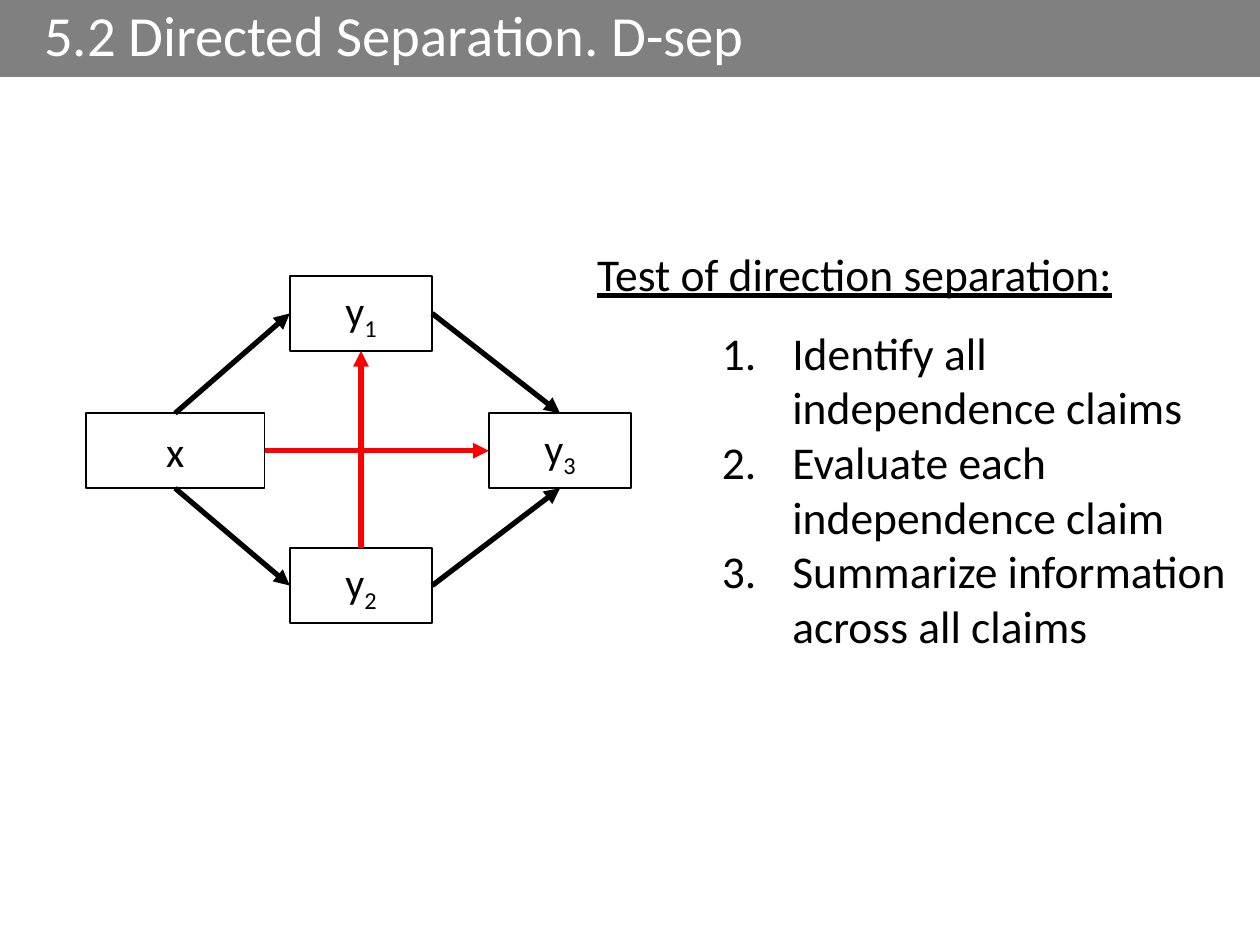
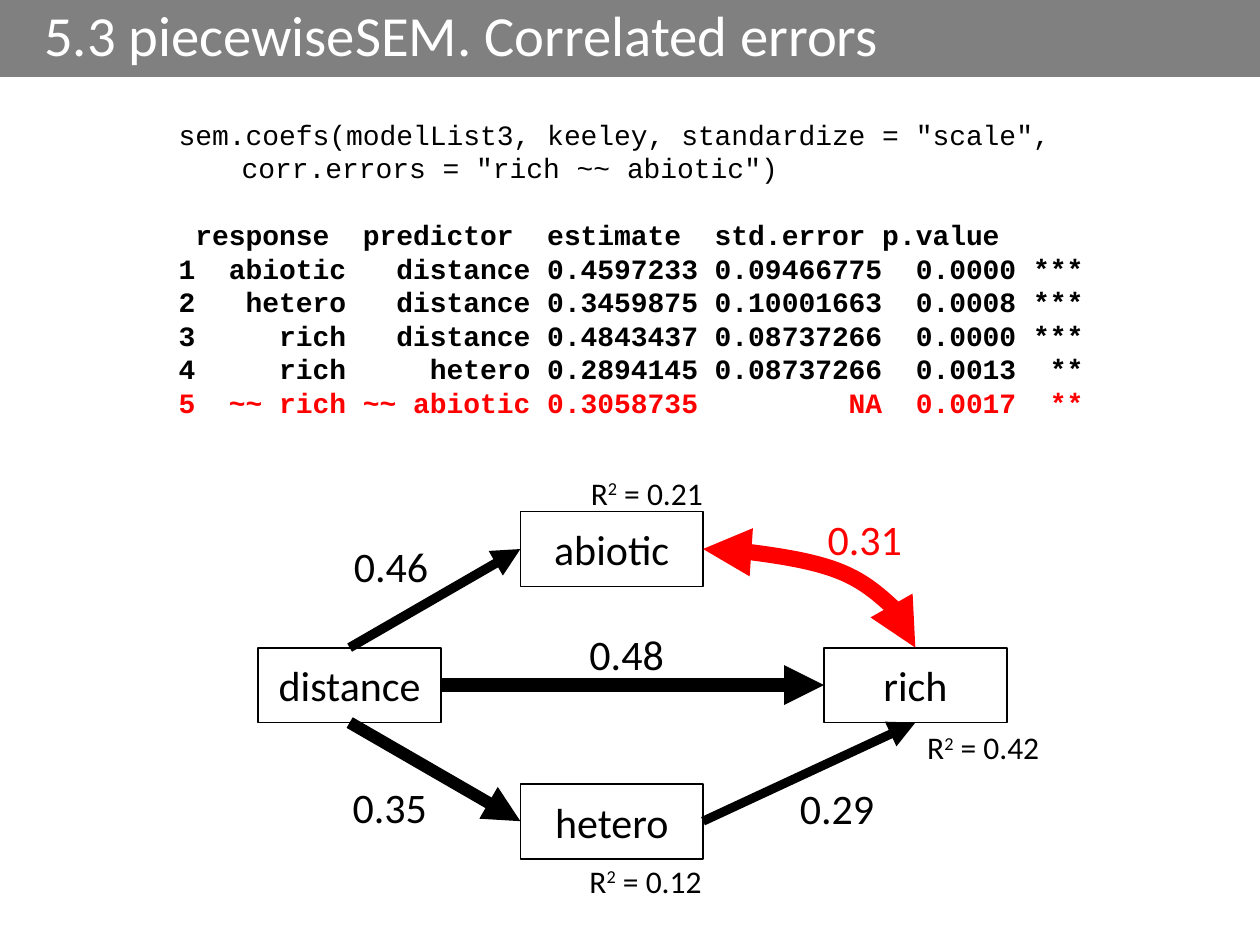
from lxml import etree
from pptx import Presentation
from pptx.dml.color import RGBColor
from pptx.enum.shapes import MSO_CONNECTOR, MSO_SHAPE
from pptx.enum.text import MSO_ANCHOR, MSO_AUTO_SIZE, PP_ALIGN
from pptx.oxml.ns import qn
from pptx.util import Inches, Pt

RECTANGLE = MSO_SHAPE.RECTANGLE
STRAIGHT, CURVE = MSO_CONNECTOR.STRAIGHT, MSO_CONNECTOR.CURVE
MIDDLE = MSO_ANCHOR.MIDDLE
FIT_TEXT = MSO_AUTO_SIZE.SHAPE_TO_FIT_TEXT
LEFT, CENTER = PP_ALIGN.LEFT, PP_ALIGN.CENTER
BLANK_LAYOUT = 6

# Shared style
BLACK, WHITE, GREY, RED = "000000", "FFFFFF", "808080", "FF0000"
BODY_FONT, CODE_FONT = "Calibri", "Courier New"
SUBSCRIPT, SUPERSCRIPT = -25000, 30000
NODE_HEIGHT = 0.595
TOP_SIDE, LEFT_SIDE, BOTTOM_SIDE, RIGHT_SIDE = range(4)

# Directed separation: nodes are (text, subscript, left, top, width)
SEPARATION_TITLE = "5.2 Directed Separation. D-sep"
SEPARATION_NODES = {
    "x": ("x", "", 0.68, 3.28, 1.42),
    "y1": ("y", "1", 2.3, 2.19, 1.13),
    "y2": ("y", "2", 2.3, 4.35, 1.13),
    "y3": ("y", "3", 3.88, 3.28, 1.13),
}
# Paths are (from, side, to, side, colour, width)
SEPARATION_PATHS = [
    ("x", TOP_SIDE, "y1", LEFT_SIDE, BLACK, 3),
    ("x", BOTTOM_SIDE, "y2", LEFT_SIDE, BLACK, 3),
    ("y1", RIGHT_SIDE, "y3", TOP_SIDE, BLACK, 3),
    ("y2", RIGHT_SIDE, "y3", BOTTOM_SIDE, BLACK, 3),
    ("y2", TOP_SIDE, "y1", BOTTOM_SIDE, RED, 3),
    ("x", RIGHT_SIDE, "y3", LEFT_SIDE, RED, 3),
]
TEST_HEADING = "Test of direction separation:"
TEST_STEPS = [
    "Identify all independence claims",
    "Evaluate each independence claim",
    "Summarize information across all claims",
]

# Correlated errors
ERRORS_TITLE = "5.3 piecewiseSEM. Correlated errors"
CALL_LINES = [
    'sem.coefs(modelList3, keeley, standardize = "scale",',
    '\tcorr.errors = "rich ~~ abiotic")',
]
OUTPUT_LINES = [
    " response  predictor  estimate  std.error p.value",
    "1  abiotic   distance 0.4597233 0.09466775  0.0000 ***",
    "2   hetero   distance 0.3459875 0.10001663  0.0008 ***",
    "3     rich   distance 0.4843437 0.08737266  0.0000 ***",
    "4     rich     hetero 0.2894145 0.08737266  0.0013  **",
    "5  ~~ rich ~~ abiotic 0.3058735         NA  0.0017  **",
]
ERRORS_NODES = {
    "distance": ("distance", "", 2.05, 5.14, 1.45),
    "abiotic": ("abiotic", "", 4.13, 4.06, 1.45),
    "hetero": ("hetero", "", 4.13, 6.22, 1.45),
    "rich": ("rich", "", 6.54, 5.14, 1.45),
}
ERRORS_PATHS = [
    ("distance", BOTTOM_SIDE, "hetero", LEFT_SIDE, BLACK, 7),
    ("hetero", RIGHT_SIDE, "rich", BOTTOM_SIDE, BLACK, 5.2),
    ("distance", RIGHT_SIDE, "rich", LEFT_SIDE, BLACK, 7.6),
    ("distance", TOP_SIDE, "abiotic", LEFT_SIDE, BLACK, 5.4),
]
CORRELATION = ("abiotic", RIGHT_SIDE, "rich", TOP_SIDE, RED, 9.2)
COEFFICIENTS = [
    ("0.46", 2.71, 4.24, BLACK),
    ("0.35", 2.7, 6.15, BLACK),
    ("0.29", 6.25, 6.16, BLACK),
    ("0.31", 6.47, 4.03, RED),
    ("0.48", 4.58, 4.94, BLACK),
]
R_SQUARED = [("0.21", 4.59, 3.71), ("0.12", 4.58, 6.79), ("0.42", 7.26, 5.73)]


def rgb(color):
    return RGBColor.from_string(color)


def style(paragraph, size, color=BLACK, font=BODY_FONT, align=LEFT):
    paragraph.alignment = align
    paragraph.font.size = Pt(size)
    paragraph.font.name = font
    paragraph.font.color.rgb = rgb(color)


def add_shifted_run(paragraph, text, baseline):
    run = paragraph.add_run()
    run.text = text
    run.font._element.set("baseline", str(baseline))


def add_box(slide, left, top, width, height, fill, outline=None):
    box = slide.shapes.add_shape(
        RECTANGLE, Inches(left), Inches(top), Inches(width), Inches(height))
    box.shadow.inherit = False
    box.fill.solid()
    box.fill.fore_color.rgb = rgb(fill)
    if outline:
        box.line.color.rgb = rgb(outline)
        box.line.width = Pt(1)
    else:
        box.line.fill.background()
    box.text_frame.vertical_anchor = MIDDLE
    return box


def add_text(slide, left, top, width, height, wrap=False):
    frame = slide.shapes.add_textbox(
        Inches(left), Inches(top), Inches(width), Inches(height)).text_frame
    frame.word_wrap = wrap
    frame.auto_size = FIT_TEXT
    return frame


def add_lines(frame, lines):
    """Write one paragraph per line and return the paragraphs."""
    frame.text = lines[0]
    for line in lines[1:]:
        frame.add_paragraph().text = line
    return frame.paragraphs


def add_titled_slide(prs, title):
    slide = prs.slides.add_slide(prs.slide_layouts[BLANK_LAYOUT])
    frame = add_box(slide, 0, 0, 10, 0.61, GREY).text_frame
    frame.margin_left = Inches(0.35)
    frame.text = title
    frame.paragraphs[0].line_spacing = 0.9
    style(frame.paragraphs[0], 32.4, WHITE)
    return slide


def add_nodes(slide, nodes):
    boxes = {}
    for key, (text, subscript, left, top, width) in nodes.items():
        box = add_box(slide, left, top, width, NODE_HEIGHT, WHITE, BLACK)
        label = box.text_frame.paragraphs[0]
        label.add_run().text = text
        if subscript:
            add_shifted_run(label, subscript, SUBSCRIPT)
        style(label, 24, align=CENTER)
        boxes[key] = box
    return boxes


def add_path(slide, boxes, path, kind=STRAIGHT, ends=("tailEnd",)):
    start, start_side, end, end_side, color, width = path
    arrow = slide.shapes.add_connector(kind, 0, 0, 0, 0)
    arrow.begin_connect(boxes[start], start_side)
    arrow.end_connect(boxes[end], end_side)
    arrow.line.color.rgb = rgb(color)
    arrow.line.width = Pt(width)
    properties = arrow._element.spPr
    for end_tag in ends:
        etree.SubElement(properties.find(qn("a:ln")), qn("a:" + end_tag), type="triangle")
    etree.SubElement(properties, qn("a:effectLst"))
    return arrow


def build_separation(prs):
    slide = add_titled_slide(prs, SEPARATION_TITLE)
    boxes = add_nodes(slide, SEPARATION_NODES)
    for path in SEPARATION_PATHS:
        add_path(slide, boxes, path)

    # Test heading and numbered steps
    heading = add_lines(add_text(slide, 4.64, 1.9, 5.1, 0.54, True), [TEST_HEADING])[0]
    style(heading, 26)
    heading.font.underline = True
    for step in add_lines(add_text(slide, 5.63, 2.53, 4.25, 2.73, True), TEST_STEPS):
        properties = step._p.get_or_add_pPr()
        properties.set("marL", str(Inches(0.56)))
        properties.set("indent", str(-Inches(0.56)))
        etree.SubElement(properties, qn("a:buFont"), typeface="+mj-lt")
        etree.SubElement(properties, qn("a:buAutoNum"), type="arabicPeriod")
        style(step, 26)


def build_errors(prs):
    slide = add_titled_slide(prs, ERRORS_TITLE)
    boxes = add_nodes(slide, ERRORS_NODES)
    for path in ERRORS_PATHS:
        add_path(slide, boxes, path)

    # Fit and path labels
    for value, left, top in R_SQUARED:
        label = add_text(slide, left, top, 1.11, 0.4).paragraphs[0]
        label.add_run().text = "R"
        add_shifted_run(label, "2", SUPERSCRIPT)
        label.add_run().text = f" = {value}"
        style(label, 18)
    for value, left, top, color in COEFFICIENTS:
        label = add_lines(add_text(slide, left, top, 0.8, 0.5), [value])[0]
        style(label, 24, color)

    # Function call and its output
    code = add_lines(add_text(slide, 1.32, 0.88, 7.49, 2.52), CALL_LINES + OUTPUT_LINES)
    for line in code:
        style(line, 16, font=CODE_FONT)
    output = code[len(CALL_LINES):]
    for line in output:
        line.font.bold = True
    output[0].space_before = Pt(19)
    output[-1].font.color.rgb = rgb(RED)

    # Correlated errors: one bend, arrowheads at both ends
    arc = add_path(slide, boxes, CORRELATION, CURVE, ("headEnd", "tailEnd"))
    arc._element.spPr.find(qn("a:prstGeom")).set("prst", "curvedConnector2")


def main():
    prs = Presentation()
    prs.slide_width, prs.slide_height = Inches(10), Inches(7.5)
    build_separation(prs)
    build_errors(prs)
    prs.save("out.pptx")


if __name__ == "__main__":
    main()
